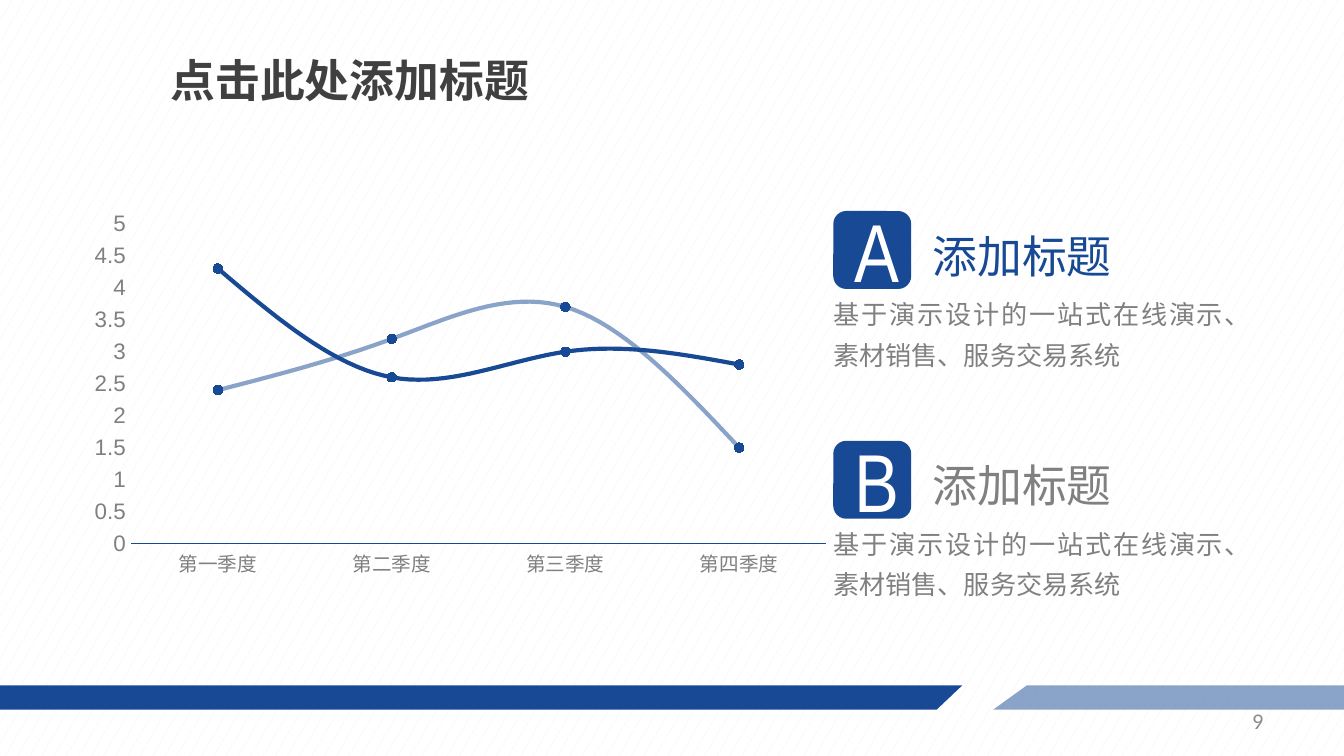
from lxml.etree import SubElement
from pptx import Presentation
from pptx.chart.data import CategoryChartData
from pptx.dml.color import RGBColor
from pptx.enum.chart import XL_CHART_TYPE as ChartType, XL_MARKER_STYLE as Marker, XL_TICK_MARK as Tick
from pptx.enum.dml import MSO_PATTERN as Pattern
from pptx.enum.shapes import MSO_SHAPE as Shape
from pptx.enum.text import MSO_ANCHOR as Anchor, PP_ALIGN as Align
from pptx.oxml.ns import qn
from pptx.util import Inches, Pt

WIDTH = 10
HEIGHT = WIDTH * 9 / 16
BLUE, GREY, DARK, WHITE = "174994", "808080", "404040", "FFFFFF"
CJK = "Noto Sans CJK SC"

TITLE = "点击此处添加标题"
PAGE_NUMBER = "9"
QUARTERS = ["第一季度", "第二季度", "第三季度", "第四季度"]
SERIES = [("Series 1", [4.3, 2.6, 3, 2.8], 100), ("Series 2", [2.4, 3.2, 3.7, 1.5], 50)]
DESCRIPTION = "基于演示设计的一站式在线演示、素材销售、服务交易系统"
ITEMS = [("A", "添加标题", BLUE), ("B", "添加标题", GREY)]
ITEM_TOP, ITEM_STEP, BADGE = 1.57, 1.71, 0.58
BAND_TOP, BAND_BOTTOM = 5.1, 5.28
BANDS = [
    ([(0, BAND_TOP), (7.16, BAND_TOP), (6.97, BAND_BOTTOM), (0, BAND_BOTTOM)], 100),
    ([(7.64, BAND_TOP), (WIDTH, BAND_TOP), (WIDTH, BAND_BOTTOM), (7.39, BAND_BOTTOM)], 50),
]


def rgb(value):
    return RGBColor.from_string(value)


def set_font(font, size, color, name, bold=False):
    font.size, font.bold = Pt(size), bold
    font.color.rgb = rgb(color)
    font.name = name
    SubElement(font._element, qn("a:ea")).set("typeface", name)


def set_alpha(properties, percent):
    if percent < 100:
        for color in properties.iter(qn("a:srgbClr")):
            SubElement(color, qn("a:alpha")).set("val", str(percent * 1000))


def add_text(slide, box, text, size, color, name=CJK, bold=False, wrap=True,
             align=Align.LEFT, anchor=Anchor.TOP, spacing=1.0):
    frame = slide.shapes.add_textbox(*map(Inches, box)).text_frame
    frame.word_wrap, frame.vertical_anchor = wrap, anchor
    frame.text = text
    paragraph = frame.paragraphs[0]
    paragraph.alignment, paragraph.line_spacing = align, spacing
    set_font(paragraph.runs[0].font, size, color, name, bold)


def paint(shape, alpha=100):
    shape.shadow.inherit = False
    shape.fill.solid()
    shape.fill.fore_color.rgb = rgb(BLUE)
    shape.line.fill.background()
    set_alpha(shape._element.spPr, alpha)


def add_line_chart(slide):
    data = CategoryChartData()
    data.categories = QUARTERS
    for name, values, _ in SERIES:
        data.add_series(name, values)
    box = map(Inches, (0.59, 1.52, 5.67, 2.83))
    chart = slide.shapes.add_chart(ChartType.LINE_MARKERS, *box, data).chart
    chart.has_legend = chart.has_title = False
    chart.font.size, chart.font.name = Pt(10), "Calibri"
    plot = chart.plots[0]
    plot.vary_by_categories = False
    for series, (_, _, alpha) in zip(plot.series, SERIES):
        series.smooth = True
        series.format.line.width = Pt(2.25)
        series.format.line.color.rgb = rgb(BLUE)
        set_alpha(series.format.line._get_or_add_ln(), alpha)
        marker = series.marker
        marker.style, marker.size = Marker.CIRCLE, 5
        marker.format.fill.solid()
        marker.format.fill.fore_color.rgb = rgb(BLUE)
        marker.format.line.color.rgb = rgb(BLUE)
    for axis, size, name in ((chart.category_axis, 10.5, CJK), (chart.value_axis, 12, "Arial")):
        axis.has_major_gridlines = False
        axis.major_tick_mark = axis.minor_tick_mark = Tick.NONE
        set_font(axis.tick_labels.font, size, GREY, name)
    chart.category_axis.format.line.color.rgb = rgb(BLUE)
    chart.category_axis.format.line.width = Pt(0.75)
    scale = chart.value_axis
    scale.minimum_scale, scale.maximum_scale, scale.major_unit = 0, 5, 0.5
    scale.format.line.fill.background()


def add_item(slide, top, letter, heading, color):
    badge = slide.shapes.add_shape(Shape.ROUNDED_RECTANGLE, *map(Inches, (6.2, top, BADGE, BADGE)))
    paint(badge)
    add_text(slide, (6.26, top - 0.13, 0.46, 0.84), letter, 44, WHITE, "Arial Narrow", wrap=False)
    add_text(slide, (6.84, top, 1.55, 0.54), heading, 24, color, wrap=False, spacing=1.2)
    add_text(slide, (6.1, top + 0.53, 3.31, 0.71), DESCRIPTION, 14, GREY,
             align=Align.JUSTIFY, spacing=1.3)


def main():
    presentation = Presentation()
    presentation.slide_width, presentation.slide_height = Inches(WIDTH), Inches(HEIGHT)
    slide = presentation.slides.add_slide(presentation.slide_layouts[6])
    background = slide.background.fill
    background.patterned()
    background.pattern = Pattern.SMALL_CONFETTI
    background.fore_color.rgb, background.back_color.rgb = rgb("F2F2F2"), rgb(WHITE)

    add_line_chart(slide)
    for row, item in enumerate(ITEMS):
        add_item(slide, ITEM_TOP + row * ITEM_STEP, *item)
    for points, alpha in BANDS:
        corners = [(Inches(x), Inches(y)) for x, y in points]
        builder = slide.shapes.build_freeform(*corners[0])
        builder.add_line_segments(corners[1:], close=True)
        paint(builder.convert_to_shape(), alpha)
    add_text(slide, (1.17, 0.42, 3.92, 0.34), TITLE, 24, DARK, bold=True, anchor=Anchor.MIDDLE)
    add_text(slide, (7.17, 5.21, 2.33, 0.3), PAGE_NUMBER, 12, "8C8C8C", "Calibri",
             align=Align.RIGHT, anchor=Anchor.MIDDLE)
    presentation.save("out.pptx")


if __name__ == "__main__":
    main()
